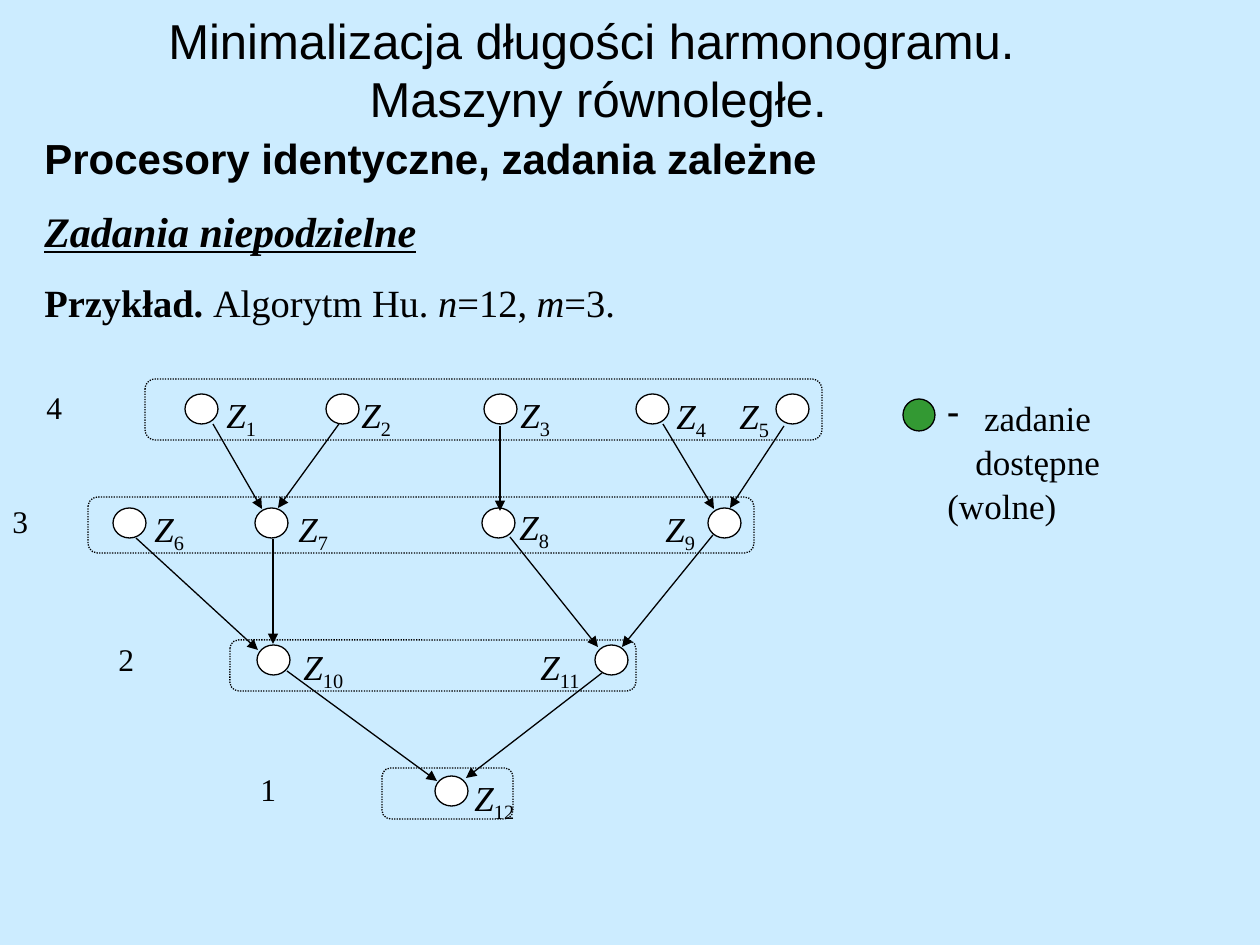
from lxml import etree
from pptx import Presentation, util as u
from pptx.dml.color import RGBColor
from pptx.enum import dml, shapes, text
from pptx.oxml import ns

PX = 914400 // 126
SANS, SERIF = "Arial", "Times New Roman"
THEME = {
    "background": "CCECFF", "ink": "000000", "node": "FFFFFF", "free": "339933",
    "line": 0.75,
    "title": {"name": SANS, "size": 28},
    "heading": {"name": SANS, "size": 24, "bold": True},
    "subheading": {"name": SERIF, "size": 24, "bold": True, "italic": True, "underline": True},
    "example": {"name": SERIF, "size": 22},
    "label": {"name": SERIF, "size": 20},
    "level": {"name": SERIF, "size": 18},
}

# Content: a run is (text, extra format)
TITLE = "Minimalizacja długości harmonogramu. \vMaszyny równoległe."
ITALIC = {"italic": True}
INTRO = [  # top, height, style, runs
    (126, 63, "heading", [("Procesory identyczne, zadania zależne", {})]),
    (199, 63, "subheading", [("Zadania niepodzielne", {})]),
    (273, 59, "example", [("Przykład. ", {"bold": True}), ("Algorytm Hu. ", {}),
                          ("n", ITALIC), ("=12, ", {}), ("m", ITALIC), ("=3.", {})]),
]
LEVELS = [  # level, its number's place, frame, node top, (task, node left, label left, label top)
    ("4", (34, 382), (145, 379, 677, 61), 394,
     [(1, 185, 214, 387), (2, 326, 349, 387), (3, 484, 508, 387),
      (4, 636, 664, 388), (5, 776, 727, 388)]),
    ("3", (0, 496), (88, 497, 666, 56), 508,
     [(6, 113, 142, 501), (7, 255, 286, 501), (8, 482, 507, 499), (9, 708, 653, 501)]),
    ("2", (106, 634), (230, 640, 406, 51), 645, [(10, 257, 291, 639), (11, 595, 528, 639)]),
    ("1", (248, 764), (382, 768, 131, 51), 776, [(12, 435, 462, 770)]),
]
ARROWS = [
    (213, 424, 262, 509), (339, 424, 278, 508), (500, 426, 500, 511),
    (663, 424, 714, 509), (784, 426, 730, 508), (273, 539, 273, 644),
    (136, 538, 258, 650), (713, 535, 622, 647), (510, 537, 598, 647),
    (287, 671, 437, 781), (602, 673, 466, 778),
]
LEGEND = [" zadanie dostępne", "(wolne)"]


def color(name):
    return RGBColor.from_string(THEME[name])


def px(*lengths):
    return [round(length * PX) for length in lengths]


def set_font(font, style, extra=None):
    for key, value in {**THEME[style], **(extra or {})}.items():
        setattr(font, key, u.Pt(value) if key == "size" else value)
    font.color.rgb = color("ink")


def add_text(slide, box, style, runs):
    frame = slide.shapes.add_textbox(*px(*box)).text_frame
    frame.word_wrap = True
    for content, extra in runs:
        extra = dict(extra)
        baseline = extra.pop("baseline", None)
        run = frame.paragraphs[0].add_run()
        run.text = content
        set_font(run.font, style, extra)
        if baseline:
            run.font._element.set("baseline", baseline)
    return frame


def add_outline(slide, kind, box, fill=None):
    shape = slide.shapes.add_shape(kind, *px(*box))
    shape.shadow.inherit = False
    if fill:
        shape.fill.solid()
        shape.fill.fore_color.rgb = color(fill)
    else:
        shape.fill.background()
    shape.line.color.rgb = color("ink")
    shape.line.width = u.Pt(THEME["line"])
    return shape


def add_arrow(slide, ends):
    arrow = slide.shapes.add_connector(shapes.MSO_CONNECTOR.STRAIGHT, *px(*ends))
    arrow.line.color.rgb = color("ink")
    arrow.line.width = u.Pt(THEME["line"])
    etree.SubElement(arrow.line._get_or_add_ln(), ns.qn("a:tailEnd"), type="triangle")
    etree.SubElement(arrow._element.spPr, ns.qn("a:effectLst"))


def add_legend(slide):
    add_outline(slide, shapes.MSO_SHAPE.OVAL, (903, 399, 32, 32), "free")
    frame = add_text(slide, (935, 388, 293, 97), "label", [])
    for index, line in enumerate(LEGEND):
        paragraph = frame.paragraphs[0] if index == 0 else frame.add_paragraph()
        paragraph.line_spacing = 1.05
        if index == 0:
            properties = paragraph._p.get_or_add_pPr()
            properties.set("marL", str(28 * PX))
            properties.set("indent", str(-28 * PX))
            etree.SubElement(properties, ns.qn("a:buChar"), char="-")
        run = paragraph.add_run()
        run.text = line
        set_font(run.font, "label")


def main():
    presentation = Presentation()
    presentation.slide_width, presentation.slide_height = u.Inches(10), u.Inches(7.5)
    slide = presentation.slides.add_slide(presentation.slide_layouts[5])
    slide.background.fill.solid()
    slide.background.fill.fore_color.rgb = color("background")

    # Title and introduction
    title = slide.shapes.title
    title.left, title.top, title.width, title.height = px(-32, -10, 1260, 158)
    title.text_frame.text = TITLE
    title.text_frame.vertical_anchor = text.MSO_ANCHOR.MIDDLE
    paragraph = title.text_frame.paragraphs[0]
    paragraph.alignment = text.PP_ALIGN.CENTER
    for run in paragraph.runs:
        set_font(run.font, "title")
    for top, height, style, runs in INTRO:
        add_text(slide, (32, top, 1228, height), style, runs)

    # Task graph, level by level
    for level, place, frame_box, node_top, tasks in LEVELS:
        frame = add_outline(slide, shapes.MSO_SHAPE.ROUNDED_RECTANGLE, frame_box)
        frame.adjustments[0] = 0.17
        frame.line.dash_style = dml.MSO_LINE.ROUND_DOT
        add_text(slide, (*place, 69, 54), "level", [(level, {})])
        for task, node_left, label_left, label_top in tasks:
            add_outline(slide, shapes.MSO_SHAPE.OVAL, (node_left, node_top, 33, 30), "node")
            width = 64 if task < 10 else 82
            add_text(slide, (label_left, label_top, width, 53), "label",
                     [("Z", ITALIC), (str(task), {"baseline": "-25000"})])
    for ends in ARROWS:
        add_arrow(slide, ends)

    add_legend(slide)
    presentation.save("out.pptx")


if __name__ == "__main__":
    main()
